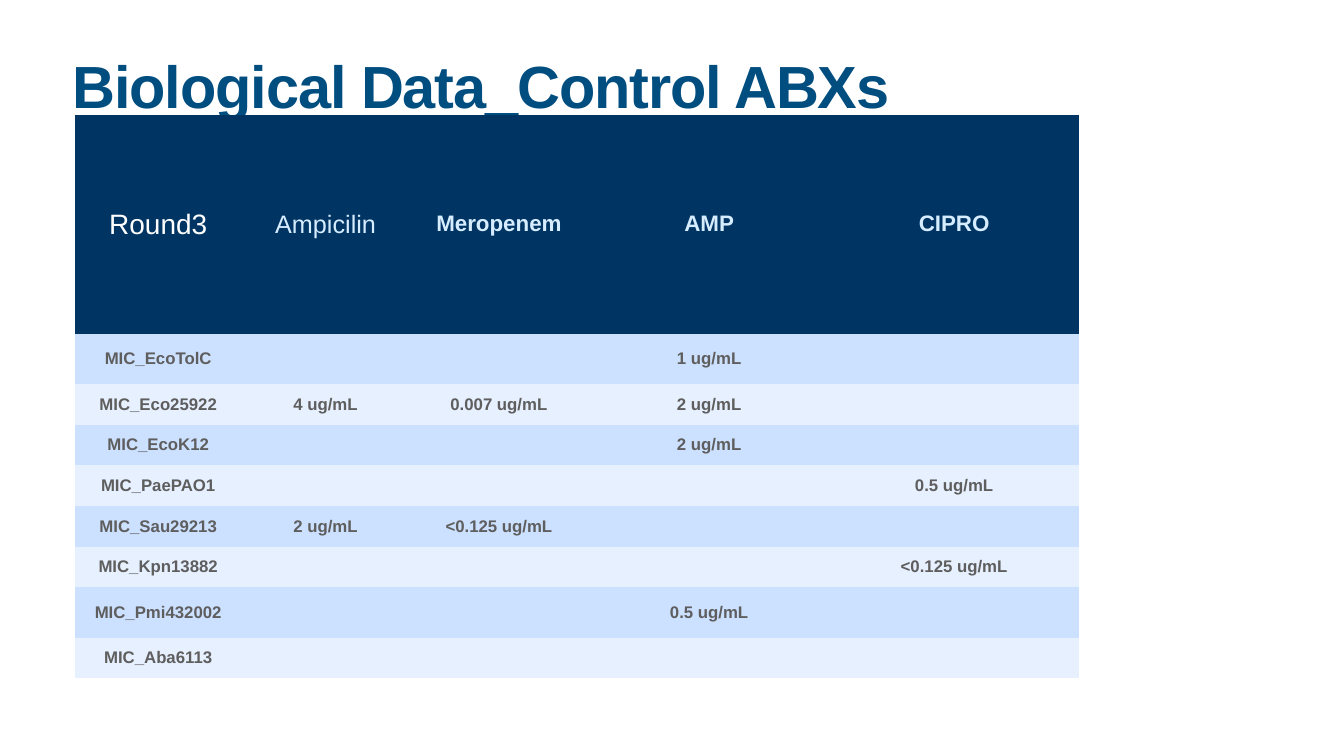
import pptx
import pptx.dml.color
import pptx.enum.text
import pptx.util

SLIDE_WIDTH = pptx.util.Inches(13.333)
SLIDE_HEIGHT = pptx.util.Inches(7.5)
PLAIN_TABLE_STYLE = "{2D5ABB26-0587-4C30-8999-92F81FD0307C}"

# Percent of the slide's width and height
TITLE_BOX = (4.95, 6.93, 90.08, 10.4)
TABLE_CORNER = (5.55, 15.2)
COLUMN_WIDTHS = (12.45, 12.45, 13.35, 17.93, 18.53)
HEADER_HEIGHT, TALL_HEIGHT, ROW_HEIGHT = 28.93, 6.67, 5.38
TALL_STRAINS = ("MIC_EcoTolC", "MIC_Pmi432002")

HEADER_FILL = "003462"
BAND_FILLS = ("CCE0FF", "E7F0FF")

TITLE_FORMAT = {"size": 42.5, "bold": True, "color": "004D80"}
BODY_FORMAT = {"size": 12, "bold": True, "color": "5E5E5E"}
DRUG_FORMAT = {"size": 16, "bold": True, "color": "D6ECFF"}
HEADER = (
    ("Round3", {"size": 20, "bold": False, "color": "FFFFFF"}),
    ("Ampicilin", {"size": 18, "bold": False, "color": "D6ECFF"}),
    ("Meropenem", DRUG_FORMAT),
    ("AMP", DRUG_FORMAT),
    ("CIPRO", DRUG_FORMAT),
)
STRAINS = (
    ("MIC_EcoTolC", "", "", "1 ug/mL", ""),
    ("MIC_Eco25922", "4 ug/mL", "0.007 ug/mL", "2 ug/mL", ""),
    ("MIC_EcoK12", "", "", "2 ug/mL", ""),
    ("MIC_PaePAO1", "", "", "", "0.5 ug/mL"),
    ("MIC_Sau29213", "2 ug/mL", "<0.125 ug/mL", "", ""),
    ("MIC_Kpn13882", "", "", "", "<0.125 ug/mL"),
    ("MIC_Pmi432002", "", "", "0.5 ug/mL", ""),
    ("MIC_Aba6113", "", "", "", ""),
)


def across(percent):
    return round(SLIDE_WIDTH * percent / 100)


def down(percent):
    return round(SLIDE_HEIGHT * percent / 100)


def set_color(color_format, hex_color):
    color_format.rgb = pptx.dml.color.RGBColor.from_string(hex_color)


def set_attributes(target, values):
    for name, value in values.items():
        setattr(target, name, value)


def add_run(paragraph, text, text_format):
    run = paragraph.add_run()
    run.text = text
    set_attributes(run.font, {
        "name": "Arial",
        "size": pptx.util.Pt(text_format["size"]),
        "bold": text_format["bold"],
    })
    set_color(run.font.color, text_format["color"])
    return run


def add_title(slide, text):
    title = slide.shapes.title
    left, top, width, height = TITLE_BOX
    set_attributes(title, {
        "left": across(left), "top": down(top),
        "width": across(width), "height": down(height),
    })
    inset = pptx.util.Inches(0.06)
    set_attributes(title.text_frame, {
        "margin_left": inset, "margin_right": inset,
        "margin_top": inset, "margin_bottom": inset,
        "word_wrap": True,
        "auto_size": pptx.enum.text.MSO_AUTO_SIZE.NONE,
        "vertical_anchor": pptx.enum.text.MSO_ANCHOR.MIDDLE,
    })
    paragraph = title.text_frame.paragraphs[0]
    set_attributes(paragraph, {
        "alignment": pptx.enum.text.PP_ALIGN.LEFT, "line_spacing": 0.8,
    })
    run = add_run(paragraph, text, TITLE_FORMAT)
    run._r.get_or_add_rPr().set("spc", "-80")


def fill_cell(cell, text, text_format, fill_color):
    cell.fill.solid()
    set_color(cell.fill.fore_color, fill_color)
    margin = pptx.util.Inches(0.04)
    set_attributes(cell, {
        "margin_top": margin, "margin_bottom": margin,
        "vertical_anchor": pptx.enum.text.MSO_ANCHOR.MIDDLE,
    })
    if text:
        paragraph = cell.text_frame.paragraphs[0]
        paragraph.alignment = pptx.enum.text.PP_ALIGN.CENTER
        add_run(paragraph, text, text_format)


def add_strain_table(slide):
    row_heights = [HEADER_HEIGHT] + [
        TALL_HEIGHT if strain[0] in TALL_STRAINS else ROW_HEIGHT
        for strain in STRAINS
    ]
    left, top = TABLE_CORNER
    frame = slide.shapes.add_table(
        len(row_heights), len(COLUMN_WIDTHS), across(left), down(top),
        across(sum(COLUMN_WIDTHS)), down(sum(row_heights)))
    table = frame.table
    table._tbl.tblPr.find(pptx.oxml.ns.qn("a:tableStyleId")).text = PLAIN_TABLE_STYLE
    for column, width in zip(table.columns, COLUMN_WIDTHS):
        column.width = across(width)
    for row, height in zip(table.rows, row_heights):
        row.height = down(height)

    for column, (text, text_format) in enumerate(HEADER):
        fill_cell(table.cell(0, column), text, text_format, HEADER_FILL)
    for row, strain in enumerate(STRAINS):
        for column, text in enumerate(strain):
            fill_cell(table.cell(row + 1, column), text, BODY_FORMAT, BAND_FILLS[row % 2])


def main():
    presentation = pptx.Presentation()
    presentation.slide_width = SLIDE_WIDTH
    presentation.slide_height = SLIDE_HEIGHT
    slide = presentation.slides.add_slide(presentation.slide_layouts[5])
    add_title(slide, "Biological Data_Control ABXs")
    add_strain_table(slide)
    presentation.save("out.pptx")


if __name__ == "__main__":
    main()
